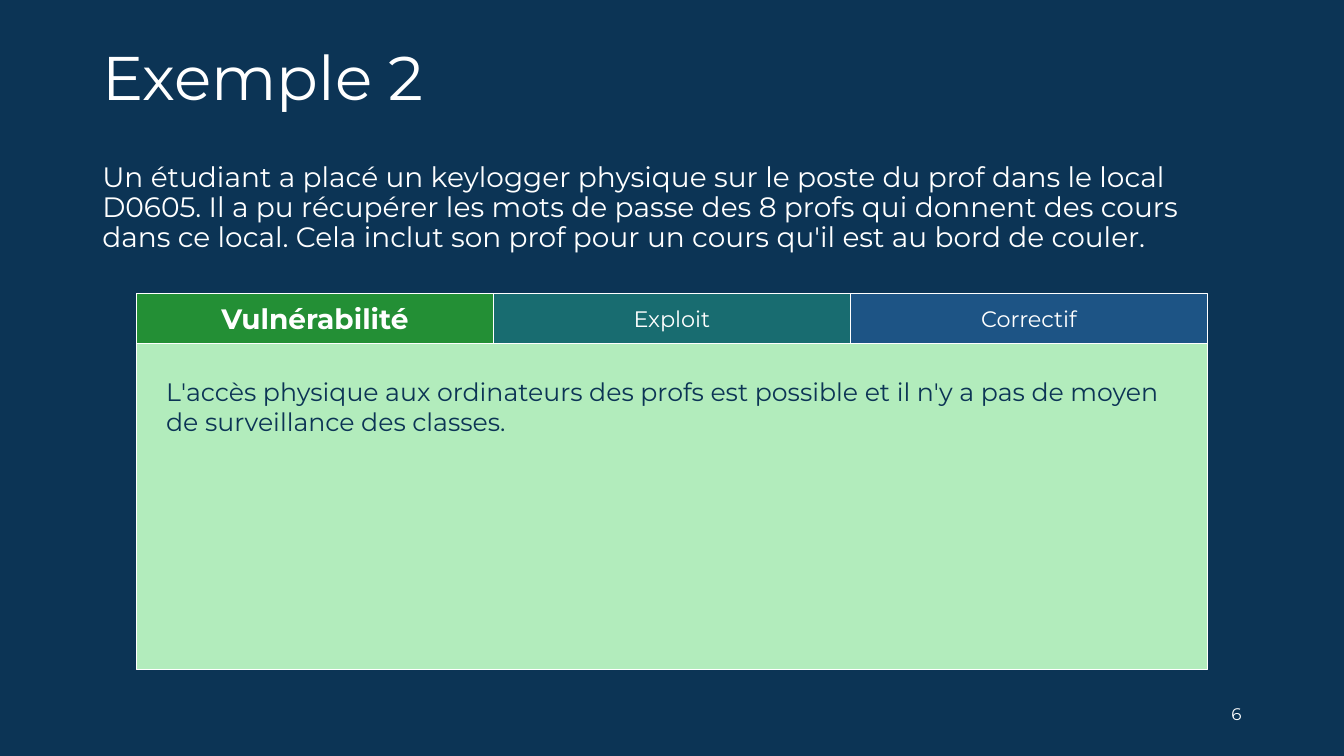
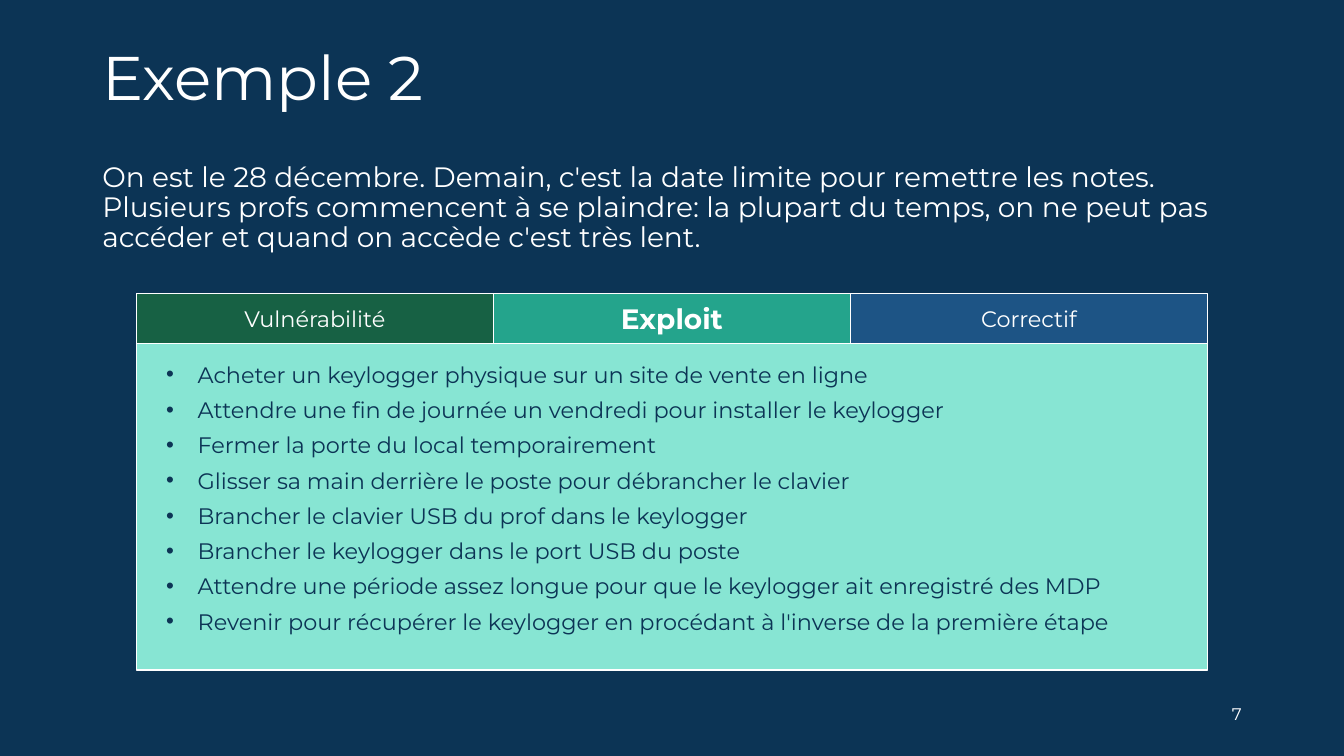
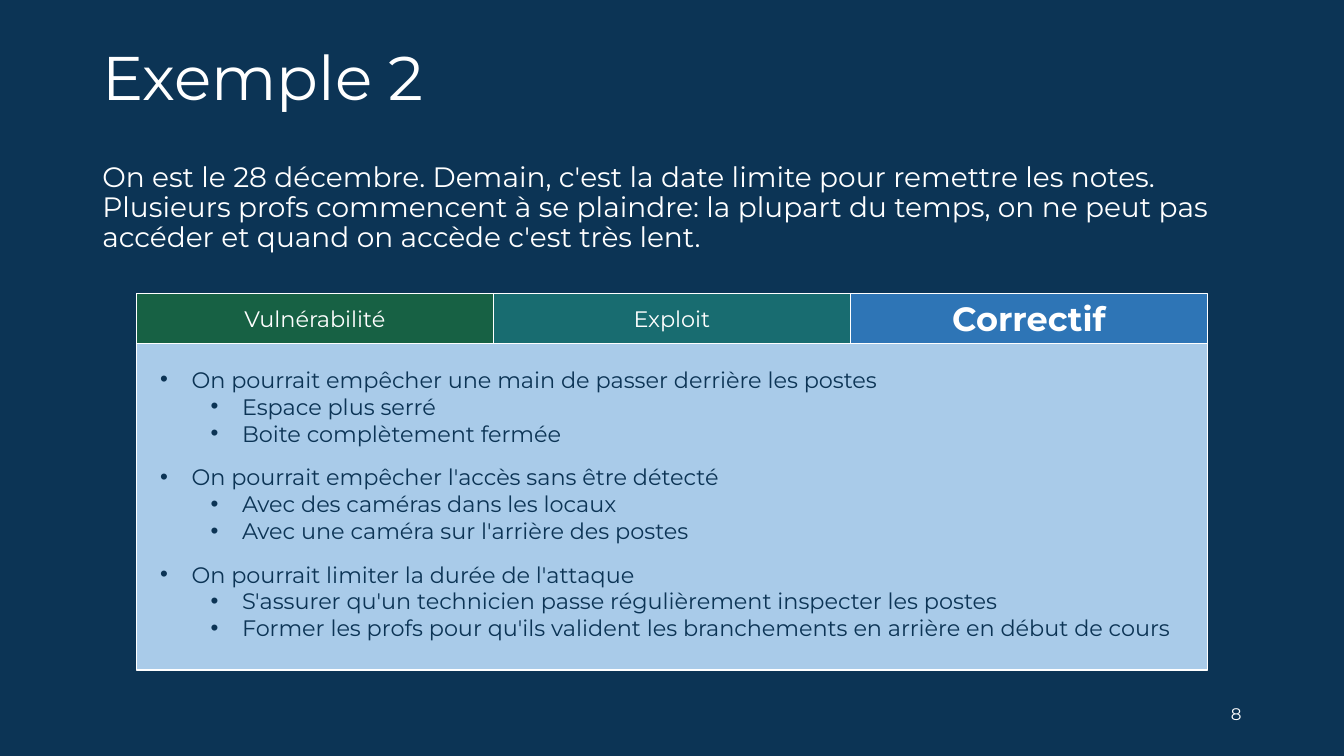
from dataclasses import dataclass

import lxml.etree
import pptx
import pptx.dml.color
import pptx.enum.shapes
import pptx.enum.text
import pptx.oxml.ns
import pptx.util

Pt = pptx.util.Pt
ALIGN = pptx.enum.text.PP_ALIGN
ANCHOR = pptx.enum.text.MSO_ANCHOR
FIT = pptx.enum.text.MSO_AUTO_SIZE

# Content
TITLE = "Exemple 2"
DEADLINE = (
    "On est le 28 décembre. Demain, c'est la date limite pour remettre les notes. "
    "Plusieurs profs commencent à se plaindre: la plupart du temps, on ne peut pas "
    "accéder et quand on accède c'est très lent."
)
KEYLOGGER = (
    "Un étudiant a placé un keylogger physique sur le poste du prof dans le local "
    "D0605. Il a pu récupérer les mots de passe des 8 profs qui donnent des cours "
    "dans ce local. Cela inclut son prof pour un cours qu'il est au bord de couler."
)
VULNERABILITY = [
    "L'accès physique aux ordinateurs des profs est possible et il n'y a pas de moyen "
    "de surveillance des classes.",
]
EXPLOIT = [
    "Acheter un keylogger physique sur un site de vente en ligne",
    "Attendre une fin de journée un vendredi pour installer le keylogger",
    "Fermer la porte du local temporairement",
    "Glisser sa main derrière le poste pour débrancher le clavier",
    "Brancher le clavier USB du prof dans le keylogger",
    "Brancher le keylogger dans le port USB du poste",
    "Attendre une période assez longue pour que le keylogger ait enregistré des MDP",
    "Revenir pour récupérer le keylogger en procédant à l'inverse de la première étape",
]
FIXES = [
    ("On pourrait empêcher une main de passer derrière les postes",
     ["Espace plus serré", "Boite complètement fermée"]),
    ("On pourrait empêcher l'accès sans être détecté",
     ["Avec des caméras dans les locaux", "Avec une caméra sur l'arrière des postes"]),
    ("On pourrait limiter la durée de l'attaque",
     ["S'assurer qu'un technicien passe régulièrement inspecter les postes",
      "Former les profs pour qu'ils valident les branchements en arrière en début de cours"]),
]


# Shared look
@dataclass(frozen=True)
class Theme:
    font: str = "Montserrat"
    navy: str = "0C3455"
    white: str = "FFFFFF"
    title: int = 44
    intro: int = 20
    answer: int = 18
    body: int = 16
    number: int = 12
    thin: float = 0.75
    line: float = 1


THEME = Theme()

# Tab name, tab colour, panel colour, size when active, outline
TABS = [
    ("Vulnérabilité", "238F35", "B2ECBC", 20, THEME.thin),
    ("Exploit", "24A48C", "87E5D3", 20, THEME.line),
    ("Correctif", "2E75B6", "A9CBE9", 24, THEME.line),
]
INACTIVE_ALPHA = 50000

# Geometry in points
PAGE = (960, 540)
TITLE_BOX = (66, 28.8, 828, 56.9)
INTRO_BOX = (66, 113, 828, 85.7)
NUMBER_BOX = (678, 495.4, 216, 28.8)
PANEL_LEFT, TAB_TOP, TAB_WIDTH, TAB_HEIGHT = 97.5, 209.5, 255, 36
PANEL = (PANEL_LEFT, TAB_TOP + TAB_HEIGHT, TAB_WIDTH * len(TABS), 233)
BULLET_INDENT, LEVEL_STEP = 22.5, 36


def rgb(value):
    return pptx.dml.color.RGBColor.from_string(value)


def apply(target, values):
    for name, value in values.items():
        setattr(target, name, value)


def add_bullet(paragraph, level):
    properties = paragraph._p.get_or_add_pPr()
    properties.set("marL", str(Pt(BULLET_INDENT + level * LEVEL_STEP)))
    properties.set("indent", str(-Pt(BULLET_INDENT)))
    for tag, key, value in (("a:buFont", "typeface", "Arial"), ("a:buChar", "char", "•")):
        mark = lxml.etree.SubElement(properties, pptx.oxml.ns.qn(tag))
        mark.set(key, value)


def write(frame, items, size, color, bold=False, bullet=False, **frame_values):
    """Fill a frame with (text, level, paragraph values) items."""
    apply(frame, {"word_wrap": True, **frame_values})
    for index, (text, level, values) in enumerate(items):
        paragraph = frame.add_paragraph() if index else frame.paragraphs[0]
        if bullet:
            add_bullet(paragraph, level)
        apply(paragraph, {"level": level, **values})
        run = paragraph.add_run()
        run.text = text
        apply(run.font, {"name": THEME.font, "size": Pt(size), "bold": bold})
        run.font.color.rgb = rgb(color)


def add_text(slide, box, items, size, color=THEME.white, **options):
    frame = slide.shapes.add_textbox(*map(Pt, box)).text_frame
    write(frame, items, size, color, **options)


def add_block(slide, box, fill, outline, alpha=None):
    block = slide.shapes.add_shape(
        pptx.enum.shapes.MSO_SHAPE.RECTANGLE, *map(Pt, box))
    block.shadow.inherit = False
    block.fill.solid()
    block.fill.fore_color.rgb = rgb(fill)
    block.line.color.rgb = rgb(THEME.white)
    block.line.width = Pt(outline)
    if alpha:
        color = block._element.spPr.find(".//" + pptx.oxml.ns.qn("a:srgbClr"))
        lxml.etree.SubElement(color, pptx.oxml.ns.qn("a:alpha")).set("val", str(alpha))
    return block


def add_example(deck, number, intro, active, box, items, size, bullet):
    slide = deck.slides.add_slide(deck.slide_layouts[6])

    # Title, situation and page number
    tight = {"line_spacing": 0.9}
    add_text(slide, TITLE_BOX, [(TITLE, 0, tight)], THEME.title,
             vertical_anchor=ANCHOR.MIDDLE)
    add_text(slide, INTRO_BOX, [(intro, 0, tight)], THEME.intro)
    add_text(slide, NUMBER_BOX, [(str(number), 0, {"alignment": ALIGN.RIGHT})],
             THEME.number, vertical_anchor=ANCHOR.MIDDLE)

    # Tabs, the active one opaque and bold
    for index, (name, fill, _, active_size, outline) in enumerate(TABS):
        chosen = index == active
        tab_box = (PANEL_LEFT + index * TAB_WIDTH, TAB_TOP, TAB_WIDTH, TAB_HEIGHT)
        tab = add_block(slide, tab_box, fill, outline,
                        None if chosen else INACTIVE_ALPHA)
        write(tab.text_frame, [(name, 0, {"alignment": ALIGN.CENTER})],
              active_size if chosen else THEME.body, THEME.white, bold=chosen,
              vertical_anchor=ANCHOR.MIDDLE)

    # Panel and its answer
    _, _, panel_fill, _, outline = TABS[active]
    add_block(slide, PANEL, panel_fill, outline)
    add_text(slide, box, items, size, THEME.navy, bullet=bullet,
             auto_size=FIT.SHAPE_TO_FIT_TEXT)


def main():
    deck = pptx.Presentation()
    deck.slide_width, deck.slide_height = map(Pt, PAGE)
    background = deck.slide_master.background.fill
    background.solid()
    background.fore_color.rgb = rgb(THEME.navy)

    answer = [(text, 0, {}) for text in VULNERABILITY]
    steps = [(text, 0, {"space_after": Pt(6)}) for text in EXPLOIT]
    fixes = []
    for fix, details in FIXES:
        fixes.append((fix, 0, {"space_before": Pt(12)} if fixes else {}))
        fixes += [(detail, 1, {}) for detail in details]

    examples = [
        (KEYLOGGER, (111.6, 265, 745.2, 51), answer, THEME.answer, False),
        (DEADLINE, (111.6, 254.2, 745.2, 204.5), steps, THEME.body, True),
        (DEADLINE, (107.3, 257.8, 755.3, 206), fixes, THEME.body, True),
    ]
    for active, (intro, *panel_text) in enumerate(examples):
        add_example(deck, active + 6, intro, active, *panel_text)
    deck.save("out.pptx")


if __name__ == "__main__":
    main()
